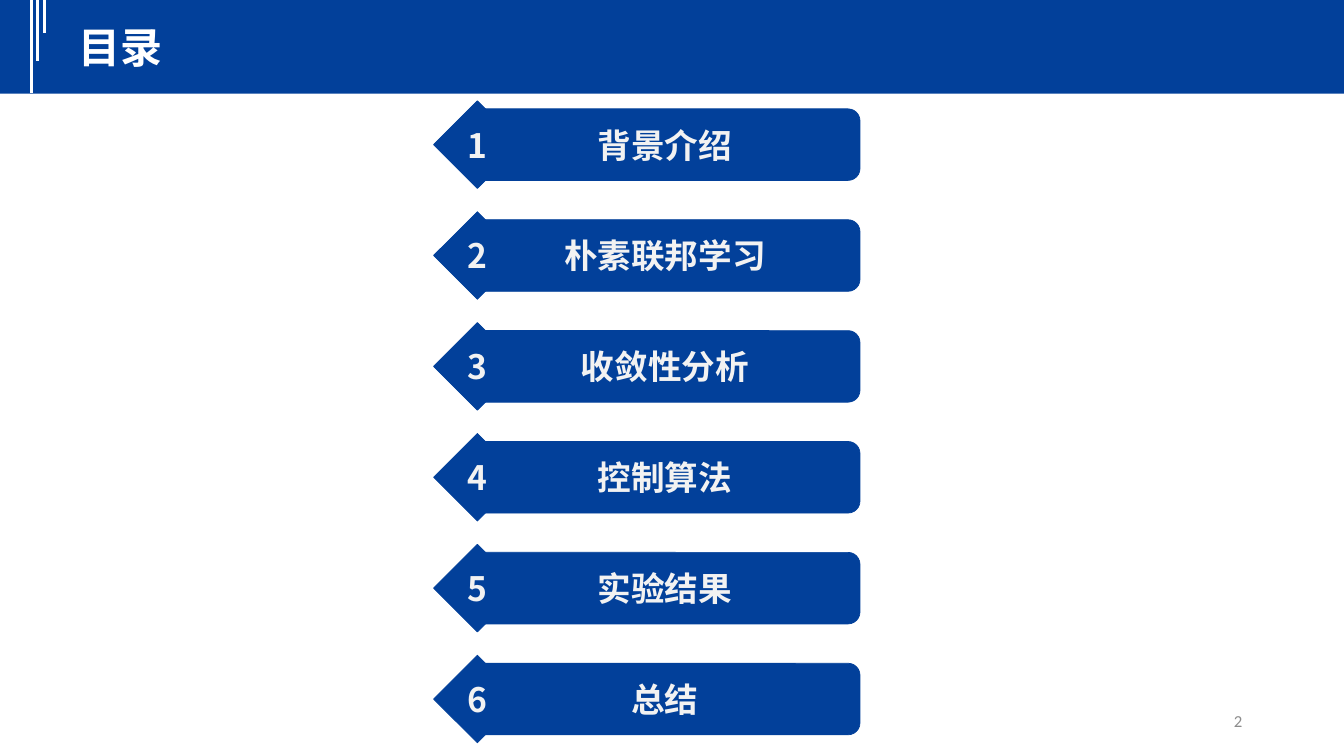
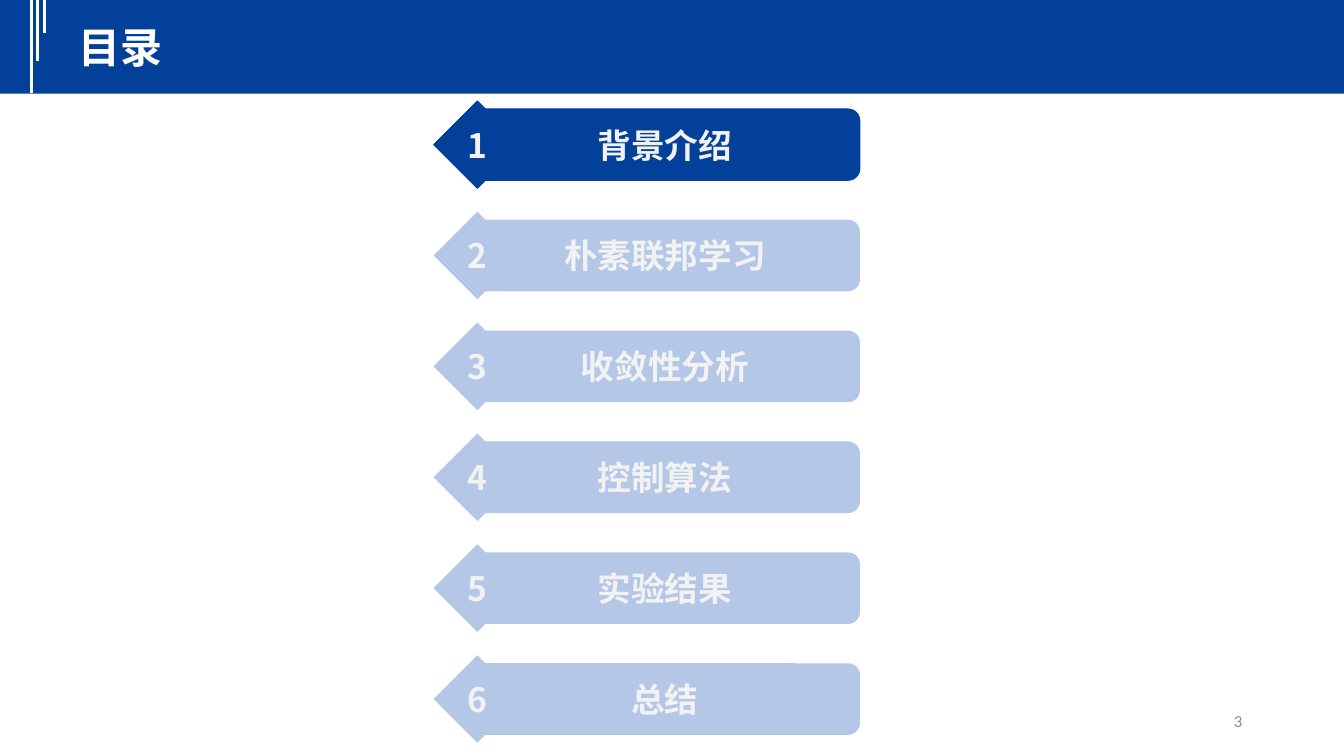
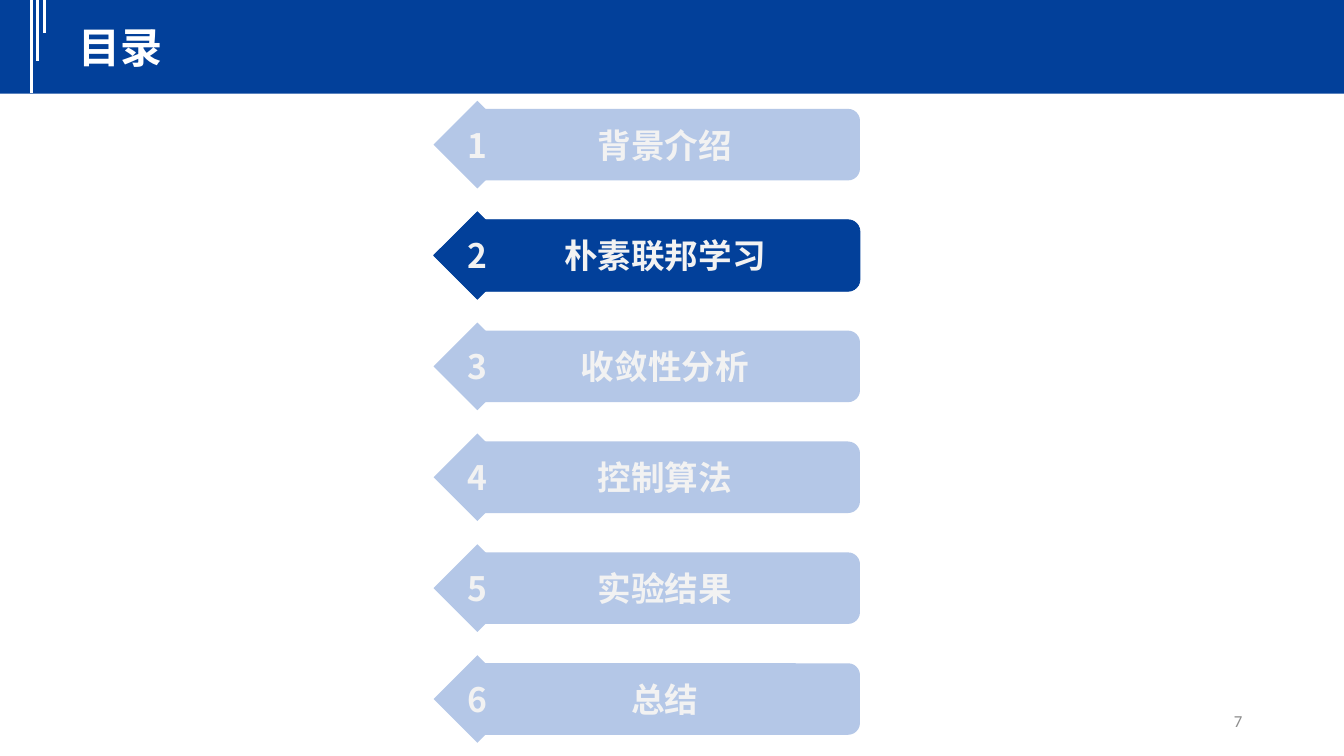
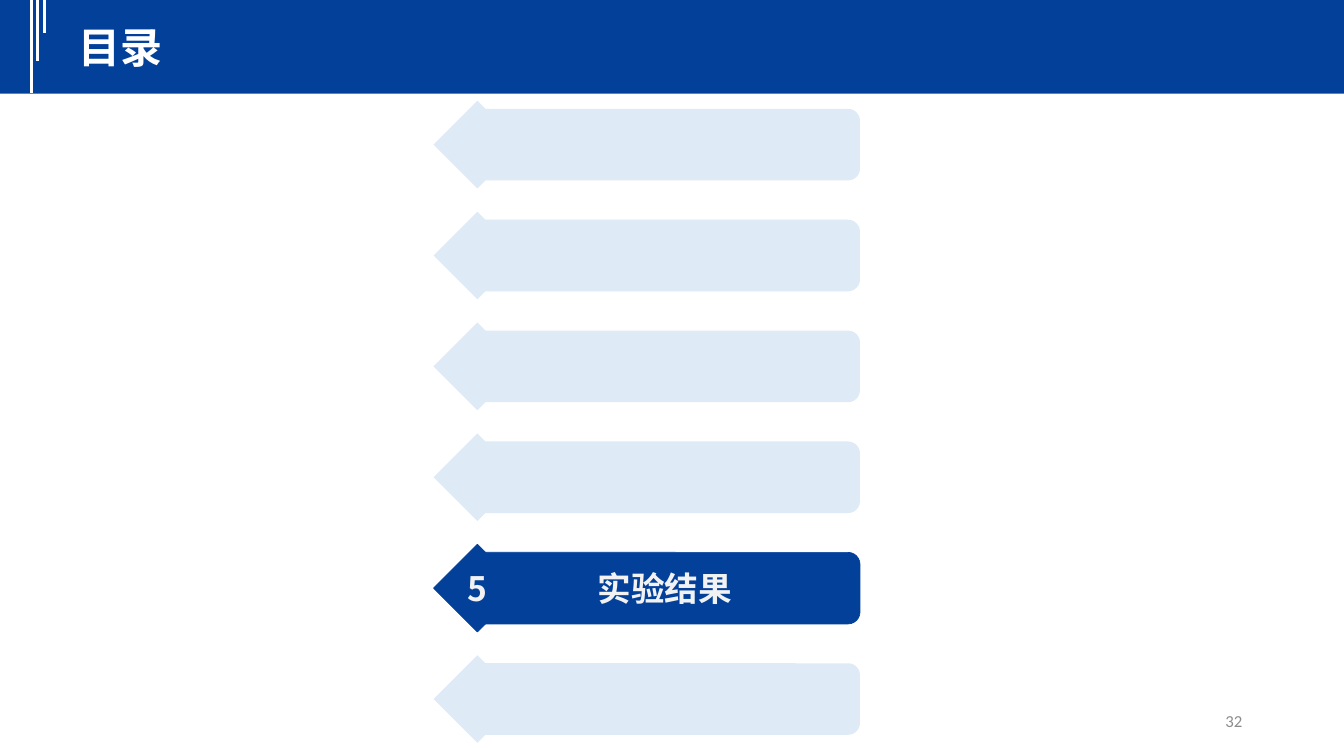
from lxml import etree
from pptx import Presentation
from pptx.dml.color import RGBColor
from pptx.enum.shapes import MSO_CONNECTOR, MSO_SHAPE
from pptx.enum.text import MSO_ANCHOR, PP_ALIGN
from pptx.oxml.ns import qn
from pptx.util import Inches, Pt

RECTANGLE = MSO_SHAPE.RECTANGLE
ROUNDED = MSO_SHAPE.ROUNDED_RECTANGLE
DIAMOND = MSO_SHAPE.DIAMOND
STRAIGHT = MSO_CONNECTOR.STRAIGHT
MIDDLE = MSO_ANCHOR.MIDDLE
LEFT, CENTER, RIGHT = PP_ALIGN.LEFT, PP_ALIGN.CENTER, PP_ALIGN.RIGHT

COLORS = {
    "blue": "02409A",
    "muted": "B4C7E7",
    "pale": "DEEBF6",
    "white": "FFFFFF",
    "label": "F2F2F2",
    "gray": "8C8C8C",
}
LATIN, CHINESE = "Calibri", "Noto Sans CJK SC"

SECTIONS = ["背景介绍", "朴素联邦学习", "收敛性分析", "控制算法", "实验结果", "总结"]
# Page number, highlighted sections, colour of the other sections
AGENDAS = [
    (2, {1, 2, 3, 4, 5, 6}, "muted"),
    (3, {1}, "muted"),
    (7, {2}, "muted"),
    (32, {5}, "pale"),
]
STRIPES = [(0.31, 0.92), (0.37, 0.61), (0.44, 0.33)]  # position, length
ROW_LEFT, ROW_TOP, ROW_PITCH = 4.3, 1.0, 1.1


def write(shape, text, size, color, font_name, align, bold=True, wrap=False):
    frame = shape.text_frame
    frame.word_wrap = wrap
    frame.vertical_anchor = MIDDLE
    paragraph = frame.paragraphs[0]
    paragraph.text = text
    paragraph.alignment = align
    font = paragraph.font
    font.size = Pt(size)
    font.bold = bold
    font.name = font_name
    font.color.rgb = RGBColor.from_string(COLORS[color])
    properties = paragraph._p.pPr.find(qn("a:defRPr"))
    etree.SubElement(properties, qn("a:ea"), typeface=CHINESE)


def add_block(shapes, kind, left, top, width, height, fill, outlined=False):
    shape = shapes.add_shape(kind, Inches(left), Inches(top), Inches(width), Inches(height))
    shape.shadow.inherit = False
    shape.fill.solid()
    shape.fill.fore_color.rgb = RGBColor.from_string(COLORS[fill])
    if outlined:
        shape.line.color.rgb = RGBColor.from_string(COLORS[fill])
        shape.line.width = Pt(0.5)
    else:
        shape.line.fill.background()
    return shape


presentation = Presentation()
presentation.slide_width = Inches(13.33)
presentation.slide_height = Inches(7.5)
blank = presentation.slide_layouts[6]

for page, highlighted, other_color in AGENDAS:
    slide = presentation.slides.add_slide(blank)

    # Header band with stripes and title
    add_block(slide.shapes, RECTANGLE, 0, 0, 13.33, 0.93, "blue")
    for x, length in STRIPES:
        stripe = slide.shapes.add_connector(STRAIGHT, Inches(x), 0, Inches(x), Inches(length))
        stripe.line.color.rgb = RGBColor.from_string(COLORS["white"])
        stripe.line.width = Pt(2.25)
        etree.SubElement(stripe._element.spPr, qn("a:effectLst"))
    title = slide.shapes.add_textbox(Inches(0.68), Inches(0.16), Inches(2.13), Inches(0.61))
    write(title, "目录", 30, "white", CHINESE, LEFT, wrap=True)

    # Agenda rows: label with a numbered diamond; pale rows carry no text
    for number, section in enumerate(SECTIONS, start=1):
        active = number in highlighted
        fill = "blue" if active else other_color
        top = ROW_TOP + (number - 1) * ROW_PITCH
        row = slide.shapes.add_group_shape()
        label = add_block(row.shapes, ROUNDED, ROW_LEFT + 0.36, top + 0.08, 3.87, 0.71, fill, active)
        marker = add_block(row.shapes, DIAMOND, ROW_LEFT, top, 0.87, 0.87, fill, active)
        if fill != "pale":
            write(label, section, 24, "label", LATIN, CENTER)
            write(marker, str(number), 24, "label", CHINESE, CENTER)

    # Page number
    footer = slide.shapes.add_textbox(Inches(9.42), Inches(6.95), Inches(3), Inches(0.4))
    write(footer, str(page), 12, "gray", LATIN, RIGHT, bold=False, wrap=True)

presentation.save("out.pptx")
